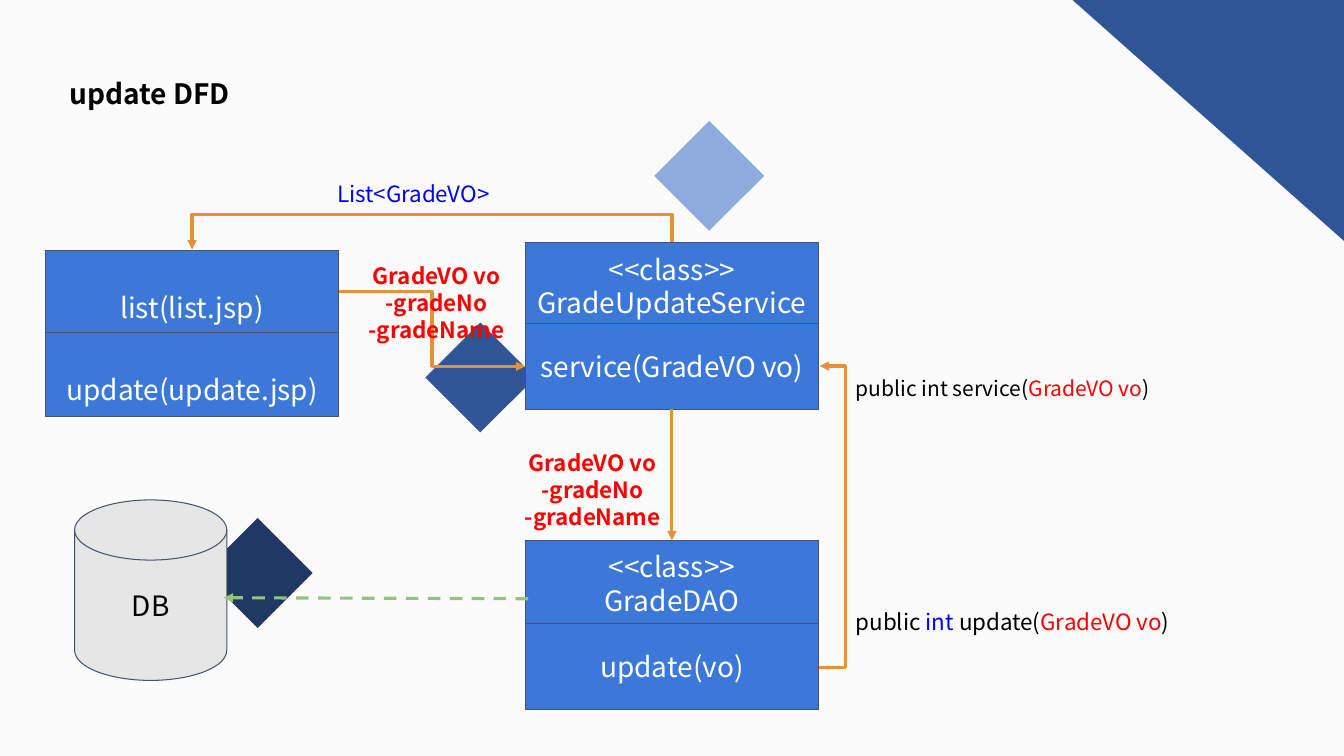
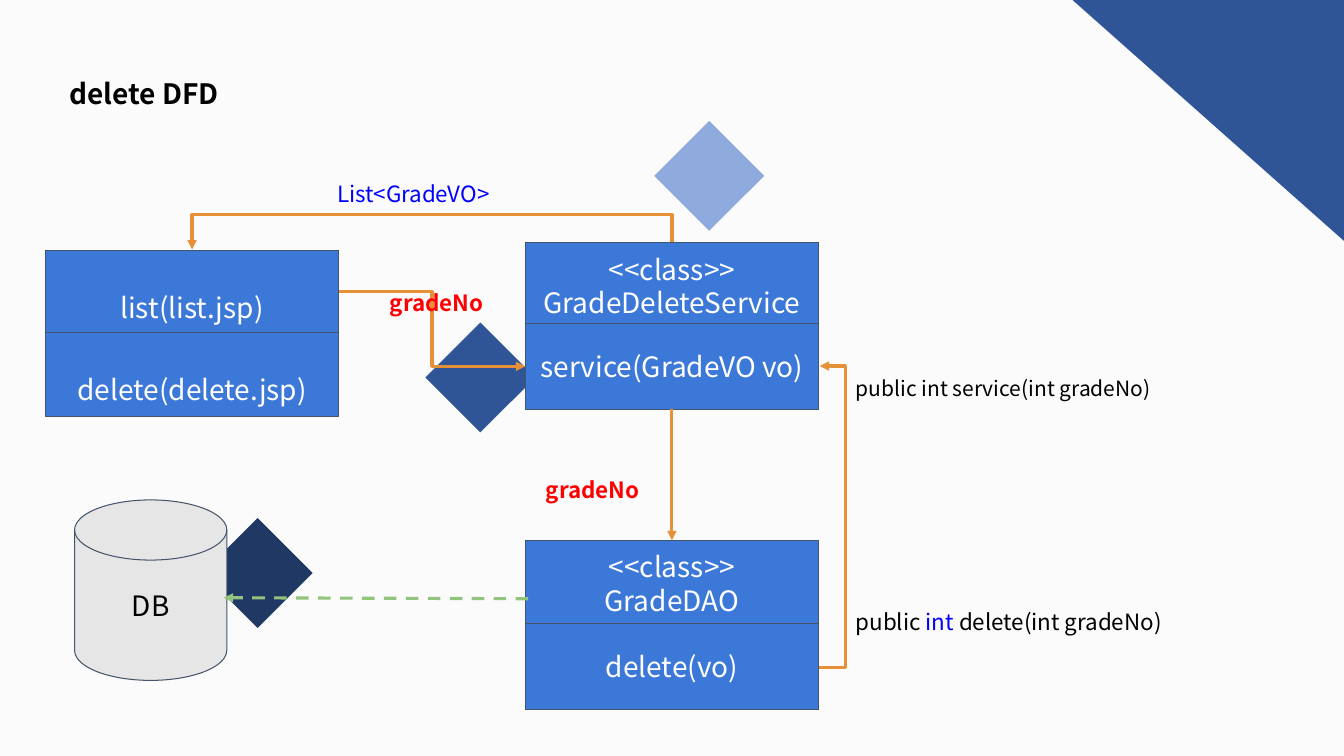
from lxml.etree import SubElement
from pptx import Presentation
from pptx.dml.color import RGBColor
from pptx.enum.dml import MSO_LINE as Dash
from pptx.enum.shapes import MSO_CONNECTOR as Wire, MSO_SHAPE as Form
from pptx.enum.text import MSO_ANCHOR as Anchor, PP_ALIGN as Align
from pptx.oxml.ns import qn
from pptx.util import Inches, Pt

FONT = "Noto Sans CJK KR"
BLACK, WHITE, RED, BLUE = "000000", "FFFFFF", "FF0000", "0000FF"
PAPER, NAVY, DEEP, PALE = "FBFBFB", "2F5597", "203864", "8FAADC"
BOX, EDGE, GREY, FLOW, LINK = "3C78D8", "44546A", "E7E6E6", "E69138", "93C47D"
TOP, LEFT, FOOT, RIGHT = range(4)


def hue(code):
    return RGBColor.from_string(code)


def put(item, values):
    for name, value in values.items():
        setattr(item, name, value)


class Deck:
    """Hold the style and the current slide; lengths are percent of the slide's size."""

    def __init__(self):
        self.prs = Presentation()
        put(self.prs, {"slide_width": Inches(13.33), "slide_height": Inches(7.5)})
        self.paint(self.prs.slide_master.background.fill, PAPER)

    def paint(self, fill, code):
        fill.solid()
        fill.fore_color.rgb = hue(code)

    def at(self, *shares):
        sides = (self.prs.slide_width, self.prs.slide_height) * 2
        return [round(side * share / 100) for side, share in zip(sides, shares)]

    def page(self, title):
        self.shapes = self.prs.slides.add_slide(self.prs.slide_layouts[6]).shapes
        for x, y, code in ((31.65, 42.67, NAVY), (15.08, 68.53, DEEP), (48.68, 16, PALE)):
            self.shape(Form.DIAMOND, (x, y, 8.18, 14.53), code)
        self.shape(Form.RIGHT_TRIANGLE, (79.8, 0, 20.2, 31.87), NAVY).rotation = 180
        self.label((4.43, 9.47, 27.68, 5.73), [title], 20, bold=True, pad=0.05)

    def shape(self, form, place, code, edge=None):
        shape = self.shapes.add_shape(form, *self.at(*place))
        shape.shadow.inherit = False
        self.paint(shape.fill, code)
        if edge:
            self.paint(shape.line.fill, edge)
            shape.line.width = Pt(0.75)
        else:
            shape.line.fill.background()
        return shape

    def text(self, shape, lines, size, code=BLACK, bold=False, align=Align.LEFT,
             anchor=Anchor.TOP, pad=0.1):
        frame = shape.text_frame
        put(frame, {"word_wrap": True, "vertical_anchor": anchor,
                    "margin_left": Inches(0.1), "margin_right": Inches(0.1),
                    "margin_top": Inches(pad), "margin_bottom": Inches(min(pad, 0.1))})
        for row, line in enumerate(lines):
            para = frame.add_paragraph() if row else frame.paragraphs[0]
            para.alignment = align
            for words, tint in [(line, code)] if isinstance(line, str) else line:
                run = para.add_run()
                run.text = words
                put(run.font, {"name": FONT, "size": Pt(size), "bold": bold})
                run.font.color.rgb = hue(tint)

    def label(self, place, lines, size, *args, **style):
        self.text(self.shapes.add_textbox(*self.at(*place)), lines, size, *args, **style)

    def box(self, place, lines, anchor=Anchor.MIDDLE, pad=0.05, form=Form.RECTANGLE,
            code=BOX, ink=WHITE):
        shape = self.shape(form, place, code, EDGE)
        self.text(shape, lines, 20, ink, align=Align.CENTER, anchor=anchor, pad=pad)
        return shape

    def line(self, wire, ends, code=FLOW, dash=None):
        arrow = self.shapes.add_connector(wire, *self.at(*ends))
        self.paint(arrow.line.fill, code)
        put(arrow.line, {"width": Pt(2.25), "dash_style": dash})
        SubElement(arrow._element.xpath(".//a:ln")[0], qn("a:tailEnd"), type="triangle")
        SubElement(arrow._element.spPr, qn("a:effectLst"))
        return arrow

    def join(self, start, out, end, into, wire=Wire.ELBOW):
        arrow = self.line(wire, (0, 0, 0, 0))
        arrow.begin_connect(start, out)
        arrow.end_connect(end, into)
        return arrow

    def bend(self, arrow, place, turn, flip, ratio):
        put(arrow, dict(zip(("left", "top", "width", "height"), self.at(*place))))
        xfrm = arrow._element.xpath(".//a:xfrm")[0]
        for name, value in {"rot": turn * 60000, "flipH": flip, "flipV": 0}.items():
            xfrm.set(name, str(value))
        guides = arrow._element.xpath(".//a:avLst")[0]
        SubElement(guides, qn("a:gd"), name="adj1", fmla=f"val {round(ratio * 100000)}")

    def flow(self, verb, data, serve, call):
        self.page(f"{verb} DFD")
        pages = [self.box((3.38, y, 21.83, 11.07), [f"{name}({name}.jsp)"], Anchor.TOP, 0.4)
                 for y, name in ((33.07, "list"), (44, verb))]
        head, serv, dao, act = [
            self.box((39.08, y, 21.83, 11.33), lines) for y, lines in (
                (32.13, ["<<class>>", f"Grade{verb.title()}Service"]),
                (42.8, ["service(GradeVO vo)"]),
                (71.47, ["<<class>>", "GradeDAO"]),
                (82.53, [f"{verb}(vo)"]))]
        self.box((5.55, 66.13, 11.33, 23.87), ["DB"], form=Form.FLOWCHART_MAGNETIC_DISK,
                 code=GREY, ink=BLACK)

        back = self.join(head, TOP, pages[0], TOP)
        self.bend(back, (31.88, 0.8, 0.53, 63.47), 90, 0, -3.89)
        self.join(pages[0], RIGHT, serv, LEFT)
        self.join(serv, FOOT, dao, TOP, Wire.STRAIGHT)
        reply = self.join(act, RIGHT, serv, RIGHT)
        self.bend(reply, (60.9, 48.4, 0.08, 39.87), 180, 1, 25)
        self.line(Wire.STRAIGHT, (39.3, 79.2, 16.65, 79.07), LINK, Dash.DASH)

        self.label((23.63, 22.53, 14.25, 6.13), ["List<GradeVO>"], 16, BLUE,
                   align=Align.CENTER)
        for x, y in ((25.88, 33.33), (37.5, 58.13)):
            self.label((x, y, 13.2, 13.33), data, 16, RED, bold=True,
                       align=Align.CENTER, anchor=Anchor.MIDDLE)
        for y, size, runs in ((79.07, 16, call), (48.4, 15, serve)):
            self.label((62.93, y, 37, 6.2), [runs], size)


def main():
    deck = Deck()
    value = [("GradeVO vo", RED), (")", BLACK)]
    kind = [("public ", BLACK), ("int ", BLUE)]
    deck.flow("update", ["GradeVO vo", "-gradeNo", "-gradeName"],
              [("public int service(", BLACK)] + value,
              kind + [("update(", BLACK)] + value)
    deck.flow("delete", ["gradeNo"],
              [("public int service(int gradeNo)", BLACK)],
              kind + [("delete(int gradeNo)", BLACK)])
    deck.prs.save("out.pptx")


if __name__ == "__main__":
    main()
